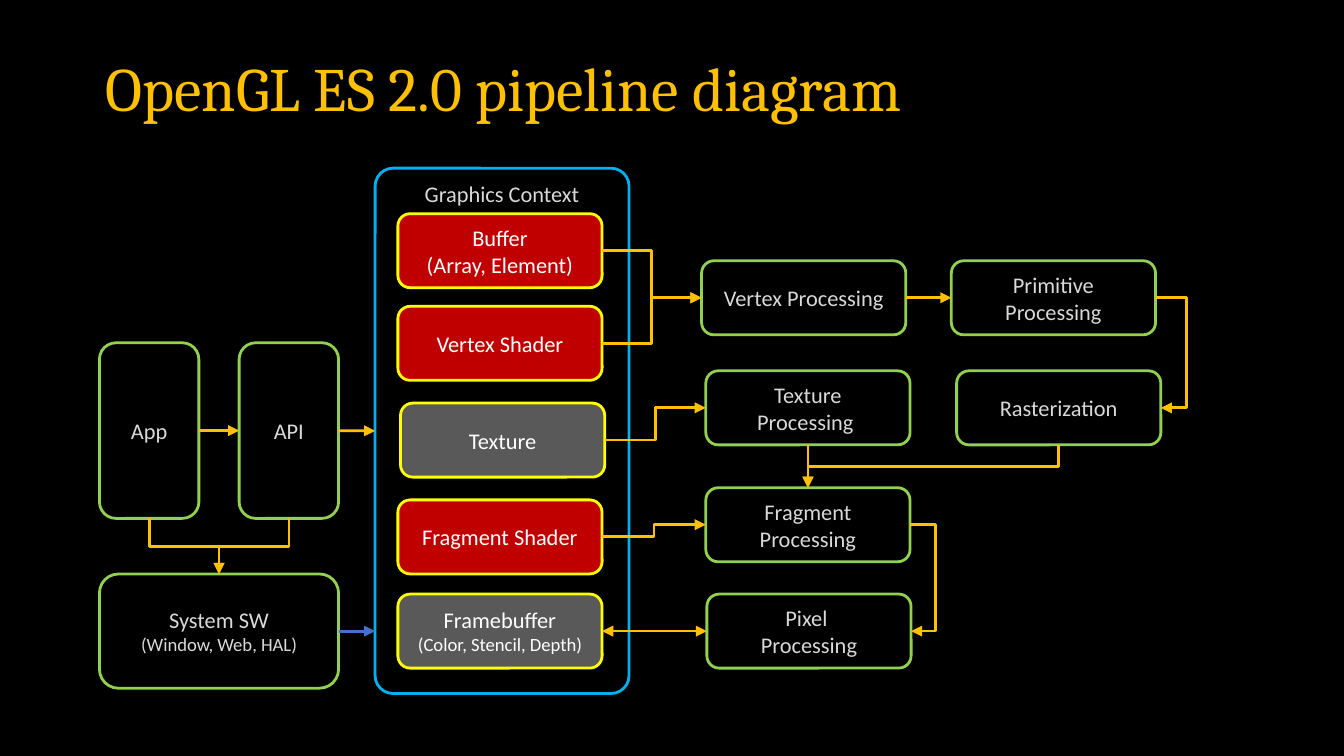
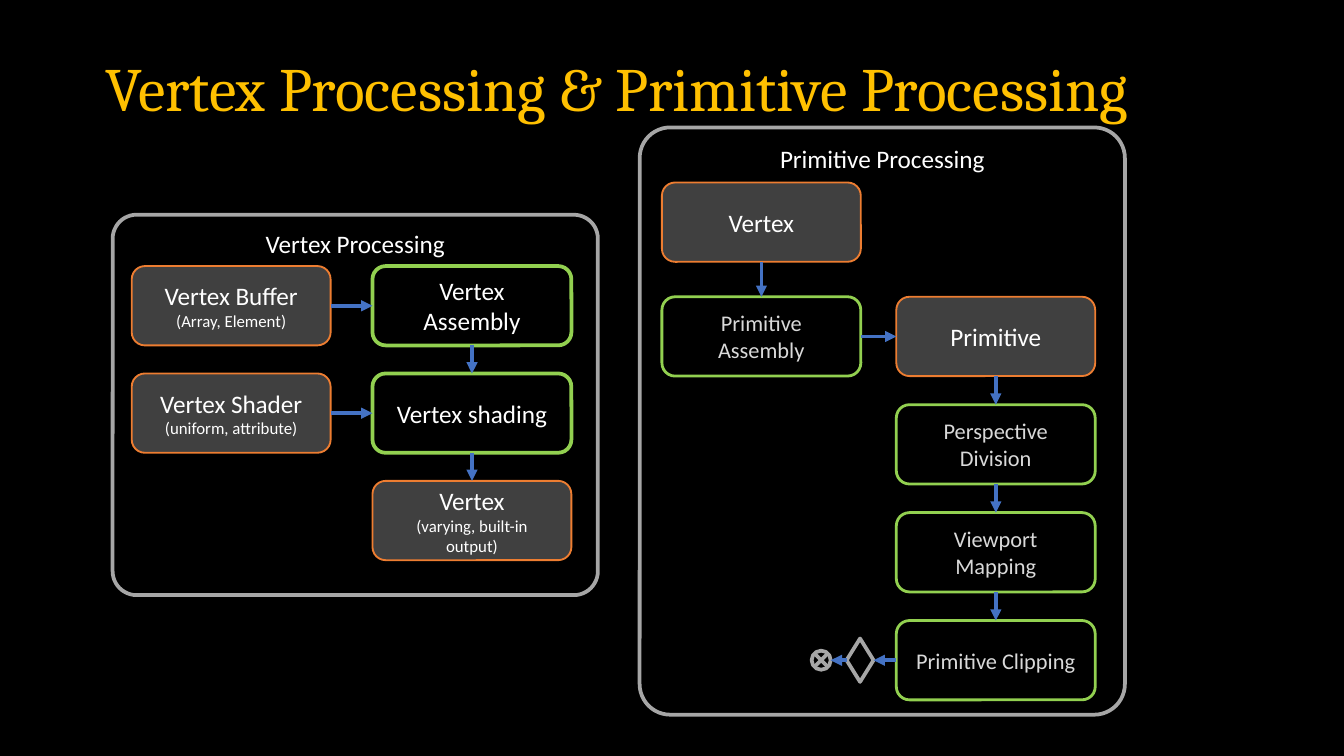
"""Build two dark slides that show the OpenGL ES 2.0 pipeline as box diagrams."""
from lxml.etree import SubElement
from pptx import Presentation
from pptx.dml.color import RGBColor
from pptx.enum.shapes import MSO_CONNECTOR, MSO_SHAPE
from pptx.enum.text import MSO_ANCHOR, PP_ALIGN
from pptx.oxml.ns import qn
from pptx.util import Cm, Pt

COLORS = {
    "black": "000000", "white": "FFFFFF", "light": "D9D9D9", "silver": "A6A6A6",
    "gray": "595959", "dark": "404040", "red": "C00000", "green": "92D050",
    "yellow": "FFFF00", "sky": "00B0F0", "orange": "ED7D31", "gold": "FFC000",
    "blue": "4472C4",
}
TOP, LEFT, BOTTOM, RIGHT = range(4)

# style: fill, line, line width, text colour, text size, note size, corner
STYLES = {
    "stage": ("black", "green", 1.5, "light", 12, 10, None),
    "context": ("black", "sky", 1.5, "light", 12, 10, 0.071),
    "shader": ("red", "yellow", 1.5, "white", 12, 10, None),
    "store": ("gray", "yellow", 1.5, "white", 12, 10, None),
    "panel": ("black", "silver", 2, "white", 13.5, 9, 0.063),
    "open panel": (None, "silver", 2, "white", 13.5, 9, 0.063),
    "step": ("black", "green", 2, "white", 13.5, 9, None),
    "data": ("dark", "orange", 1, "white", 13.5, 9, None),
}
HEADED = ("context", "panel", "open panel")

STAGE = (3.86, 1.4)
TALL = (1.88, 3.32)
STEP = (3.76, 1.5)
PANEL_W = 9.17
LEFT_ROWS = [5.03 + 2.03 * i for i in range(3)]
RIGHT_ROWS = [5.61 + 2.04 * i for i in range(4)]
BUFFER_X, ASSEMBLY_X, VERTEX_X, PRIMITIVE_X = 2.49, 7.04, 12.51, 16.94

# box: key, style, left, top, size, paragraphs ("~" starts a smaller note)
PIPELINE_BOXES = [
    ("api", "stage", 4.52, 6.48, TALL, ["API"]),
    ("app", "stage", 1.88, 6.48, TALL, ["App"]),
    ("system", "stage", 1.88, 10.85, (4.52, 2.16), ["System SW", "~(Window, Web, HAL)"]),
    ("context", "context", 7.09, 3.18, (4.8, 9.93), ["Graphics Context"]),
    ("buffer", "shader", 7.52, 4.04, STAGE, ["Buffer\n(Array, Element)"]),
    ("vertex shader", "shader", 7.52, 5.79, STAGE, ["Vertex Shader"]),
    ("texture", "store", 7.57, 7.62, STAGE, ["Texture"]),
    ("fragment shader", "shader", 7.52, 9.45, STAGE, ["Fragment Shader"]),
    ("framebuffer", "store", 7.52, 11.23, STAGE, ["Framebuffer", "~(Color, Stencil, Depth)"]),
    ("vertex", "stage", 13.26, 4.93, STAGE, ["Vertex Processing"]),
    ("primitive", "stage", 17.98, 4.93, STAGE, ["Primitive Processing"]),
    ("raster", "stage", 18.08, 7.01, STAGE, ["Rasterization"]),
    ("texturing", "stage", 13.34, 7.01, STAGE, ["Texture", "Processing "]),
    ("fragment", "stage", 13.34, 9.22, STAGE, ["Fragment Processing"]),
    ("pixel", "stage", 13.36, 11.23, STAGE, ["Pixel ", "Processing"]),
]
# link: from, side, to, side, optional reach of a loop
PIPELINE_LINKS = [
    ("app", RIGHT, "api", LEFT),
    ("api", RIGHT, "context", LEFT),
    ("app", BOTTOM, "system", TOP),
    ("api", BOTTOM, "system", TOP),
    ("buffer", RIGHT, "vertex", LEFT),
    ("vertex shader", RIGHT, "vertex", LEFT),
    ("vertex", RIGHT, "primitive", LEFT),
    ("primitive", RIGHT, "raster", RIGHT, 0.58),
    ("raster", BOTTOM, "fragment", TOP),
    ("texture", RIGHT, "texturing", LEFT),
    ("texturing", BOTTOM, "fragment", TOP),
    ("fragment shader", RIGHT, "fragment", LEFT),
    ("fragment", RIGHT, "pixel", RIGHT, 0.48),
]
VERTEX_BOXES = [
    ("vertex panel", "panel", 2.13, 4.06, (PANEL_W, 7.19), ["Vertex Processing"]),
    ("buffer", "data", BUFFER_X, LEFT_ROWS[0], STEP, ["Vertex Buffer\n~(Array, Element)"]),
    ("shader", "data", BUFFER_X, LEFT_ROWS[1], STEP, ["Vertex Shader\n~(uniform, attribute)"]),
    ("assembly", "step", ASSEMBLY_X, LEFT_ROWS[0], STEP, ["Vertex Assembly"]),
    ("shading", "step", ASSEMBLY_X, LEFT_ROWS[1], STEP, ["Vertex shading"]),
    ("output", "data", ASSEMBLY_X, LEFT_ROWS[2], STEP, ["Vertex", "~(varying, built-in output)"]),
    ("primitive panel", "open panel", 12.09, 2.41, (PANEL_W, 11.1), ["Primitive Processing"]),
    ("vertex", "data", VERTEX_X, 3.45, STEP, ["Vertex"]),
    ("joining", "stage", VERTEX_X, RIGHT_ROWS[0], STEP, ["Primitive Assembly"]),
    ("primitive", "data", PRIMITIVE_X, RIGHT_ROWS[0], STEP, ["Primitive"]),
    ("division", "stage", PRIMITIVE_X, RIGHT_ROWS[1], STEP, ["Perspective Division"]),
    ("mapping", "stage", PRIMITIVE_X, RIGHT_ROWS[2], STEP, ["Viewport Mapping"]),
    ("clipping", "stage", PRIMITIVE_X, RIGHT_ROWS[3], STEP, ["Primitive Clipping"]),
]
VERTEX_LINKS = [
    ("buffer", RIGHT, "assembly", LEFT),
    ("shader", RIGHT, "shading", LEFT),
    ("assembly", BOTTOM, "shading", TOP),
    ("shading", BOTTOM, "output", TOP),
    ("vertex", BOTTOM, "joining", TOP),
    ("joining", RIGHT, "primitive", LEFT),
    ("primitive", BOTTOM, "division", TOP),
    ("division", BOTTOM, "mapping", TOP),
    ("mapping", BOTTOM, "clipping", TOP),
]


def rgb(name):
    return RGBColor.from_string(COLORS[name])


def add_run(p, text, size, color, font="Calibri"):
    r = p.add_run()
    r.text = text
    r.font.name, r.font.size = font, Pt(size)
    r.font.color.rgb = rgb(color)


def add_slide(prs, title):
    s = prs.slides.add_slide(prs.slide_layouts[6])
    s.background.fill.solid()
    s.background.fill.fore_color.rgb = rgb("black")
    tf = s.shapes.add_textbox(Cm(1.75), Cm(0.76), Cm(21.9), Cm(1.93)).text_frame
    tf.word_wrap = True
    tf.vertical_anchor = MSO_ANCHOR.MIDDLE
    p = tf.paragraphs[0]
    p.line_spacing = 0.9
    add_run(p, title, 33, "gold", "Cambria")
    return s


def add_outline(s, kind, x, y, w, h, fill, line, width):
    sp = s.shapes.add_shape(kind, Cm(x), Cm(y), Cm(w), Cm(h))
    sp.shadow.inherit = False
    if fill:
        sp.fill.solid()
        sp.fill.fore_color.rgb = rgb(fill)
    else:
        sp.fill.background()
    sp.line.color.rgb = rgb(line)
    sp.line.width = Pt(width)
    return sp


def add_box(s, style, x, y, size, paragraphs):
    fill, line, width, color, main_size, note_size, corner = STYLES[style]
    sp = add_outline(s, MSO_SHAPE.ROUNDED_RECTANGLE, x, y, *size, fill, line, width)
    if corner:
        sp.adjustments[0] = corner
    tf = sp.text_frame
    tf.word_wrap = True
    tf.vertical_anchor = MSO_ANCHOR.TOP if style in HEADED else MSO_ANCHOR.MIDDLE
    for i, paragraph in enumerate(paragraphs):
        p = tf.add_paragraph() if i else tf.paragraphs[0]
        p.alignment = PP_ALIGN.CENTER
        for j, text in enumerate(paragraph.split("\n")):
            if j:
                p.add_line_break()
            add_run(p, text.lstrip("~"), note_size if text.startswith("~") else main_size, color)
    return sp


def site(sp, side):
    x = sp.left + {LEFT: 0, RIGHT: sp.width}.get(side, sp.width // 2)
    y = sp.top + {TOP: 0, BOTTOM: sp.height}.get(side, sp.height // 2)
    return x, y


def add_arrow(s, kind, start, end, color, width, both=False):
    c = s.shapes.add_connector(kind, *start, *end)
    c.line.color.rgb = rgb(color)
    c.line.width = Pt(width)
    ln = c.line._get_or_add_ln()
    for tag in ("a:headEnd", "a:tailEnd") if both else ("a:tailEnd",):
        SubElement(ln, qn(tag)).set("type", "triangle")
    SubElement(c._element.spPr, qn("a:effectLst"))
    return c


def turn_elbow(c, start, end):
    """Lay an elbow out so that it leaves downwards and arrives downwards."""
    (x1, y1), (x2, y2) = start, end
    w, h = abs(y2 - y1), abs(x2 - x1)
    c.left, c.top = (x1 + x2 - w) // 2, (y1 + y2 - h) // 2
    c.width, c.height = w, h
    xfrm = c._element.spPr.find(qn("a:xfrm"))
    xfrm.set("rot", "5400000")
    xfrm.set("flipH", "0")
    xfrm.set("flipV", "1" if x2 > x1 else "0")


def link(s, a, side_a, b, side_b, color, width, reach=None, both=False):
    start, end = site(a, side_a), site(b, side_b)
    vertical = side_a in (TOP, BOTTOM)
    axis = 0 if vertical else 1
    straight = abs(start[axis] - end[axis]) < Cm(0.05)
    kind = MSO_CONNECTOR.STRAIGHT if straight else MSO_CONNECTOR.ELBOW
    c = add_arrow(s, kind, start, end, color, width, both)
    c.begin_connect(a, side_a)
    c.end_connect(b, side_b)
    if vertical and not straight:
        turn_elbow(c, start, end)
    if reach:
        guides = c._element.spPr.find(qn("a:prstGeom")).get_or_add_avLst()
        guide = SubElement(guides, qn("a:gd"))
        guide.set("name", "adj1")
        guide.set("fmla", f"val {round(Cm(reach) / c.width * 100000)}")


def add_diagram(s, boxes, links, color, width):
    shapes = {key: add_box(s, *rest) for key, *rest in boxes}
    for a, side_a, b, side_b, *reach in links:
        link(s, shapes[a], side_a, shapes[b], side_b, color, width, *reach)
    return shapes


def build_pipeline(prs):
    s = add_slide(prs, "OpenGL ES 2.0 pipeline diagram")
    shapes = add_diagram(s, PIPELINE_BOXES, PIPELINE_LINKS, "gold", 1.5)
    link(s, shapes["pixel"], LEFT, shapes["framebuffer"], RIGHT, "gold", 1.5, both=True)
    system = shapes["system"]
    x, y = site(system, RIGHT)
    c = add_arrow(s, MSO_CONNECTOR.STRAIGHT, (x, y), (shapes["context"].left, y), "blue", 1.5)
    c.begin_connect(system, RIGHT)


def build_vertex(prs):
    s = add_slide(prs, "Vertex Processing & Primitive Processing")
    shapes = add_diagram(s, VERTEX_BOXES, VERTEX_LINKS, "blue", 2)
    test = add_outline(s, MSO_SHAPE.DIAMOND, 16, 12.07, 0.51, 0.82, None, "silver", 2)
    discard = add_outline(s, MSO_SHAPE.FLOWCHART_SUMMING_JUNCTION, 15.34, 12.3, 0.36, 0.36,
                          None, "silver", 2)
    link(s, shapes["clipping"], LEFT, test, RIGHT, "blue", 2)
    c = add_arrow(s, MSO_CONNECTOR.STRAIGHT, site(test, LEFT), site(discard, RIGHT), "blue", 2)
    c.begin_connect(test, LEFT)


def main():
    prs = Presentation()
    prs.slide_width, prs.slide_height = Cm(25.4), Cm(14.29)
    build_pipeline(prs)
    build_vertex(prs)
    prs.save("out.pptx")


if __name__ == "__main__":
    main()
